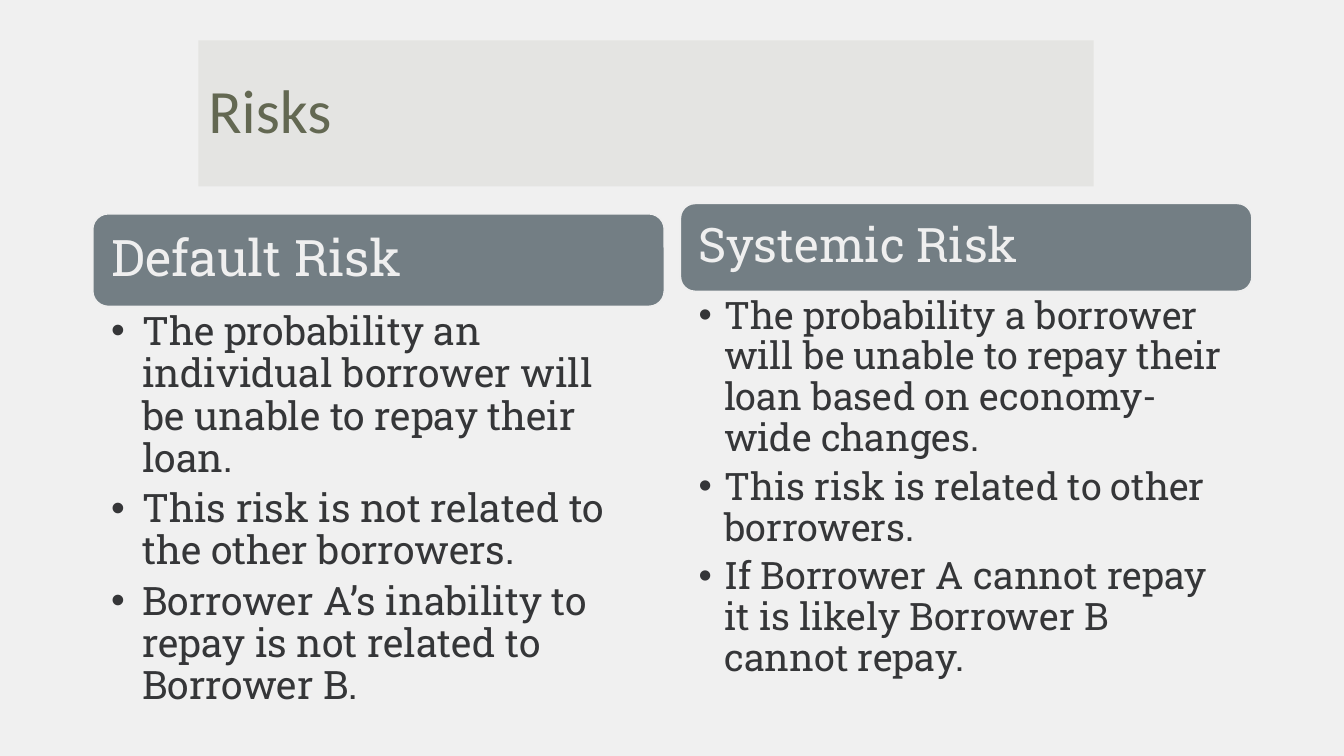
from dataclasses import dataclass
from lxml.etree import SubElement
from pptx import Presentation
from pptx.dml.color import RGBColor
from pptx.enum.shapes import MSO_SHAPE
from pptx.enum.text import MSO_ANCHOR, MSO_AUTO_SIZE, PP_ALIGN
from pptx.oxml.ns import qn
from pptx.util import Cm, Pt

TITLE = "Risks"
RISKS = [
    {
        "head": "Default Risk",
        "points": [
            "The probability an individual borrower will be unable to repay their loan.",
            "This risk is not related to the other borrowers.",
            "Borrower A’s inability to repay is not related to Borrower B.",
        ],
        "top": 5.39, "bar": 2.33, "body": 9.12,
        "sizes": (36, 28), "pad": 0.48, "right": 0.71, "hang": 0.79,
    },
    {
        "head": "Systemic Risk",
        "points": [
            "The probability a borrower will be unable to repay their loan based on economy-wide changes.",
            "This risk is related to other borrowers.",
            "If Borrower A cannot repay it is likely Borrower B cannot repay.",
        ],
        "top": 5.13, "bar": 2.21, "body": 9.78,
        "sizes": (34, 27), "pad": 0.45, "right": 0.66, "hang": 0.64,
    },
]


@dataclass
class Theme:
    back: str = "F0F0F0"
    band: str = "E4E4E2"
    olive: str = "636852"
    slate: str = "737E84"
    pale: str = "EFEFEF"
    ink: str = "353638"
    sans: str = "Calibri"
    slab: str = "Roboto Slab"
    title: int = 44


LOOK = Theme()
LEFT, WIDE, STEP = 2.34, 14.4, 14.81


def paint(fill, tone):
    fill.solid()
    fill.fore_color.rgb = RGBColor.from_string(tone)


def style(para, face, size, tone):
    para.alignment = PP_ALIGN.LEFT
    para.line_spacing = 0.9
    para.space_before = Pt(0)
    for run in para.runs:
        run.font.name = face
        run.font.size = Pt(size)
        run.font.color.rgb = RGBColor.from_string(tone)


def frame(shape, left, top, right, anchor):
    text = shape.text_frame
    text.word_wrap = True
    text.auto_size = MSO_AUTO_SIZE.NONE
    text.vertical_anchor = anchor
    text.margin_left, text.margin_right = Cm(left), Cm(right)
    text.margin_top = text.margin_bottom = Cm(top)
    return text


def bullet(para, hang):
    props = para._p.get_or_add_pPr()
    props.set("marL", str(Cm(hang)))
    props.set("indent", str(-Cm(hang)))
    SubElement(props, qn("a:buFont")).set("typeface", "Arial")
    SubElement(props, qn("a:buChar")).set("char", "•")


def add_title(slide):
    title = slide.shapes.title
    title.left, title.top, title.width, title.height = Cm(5), Cm(1.02), Cm(22.56), Cm(3.68)
    paint(title.fill, LOOK.band)
    text = frame(title, 0.25, 0.13, 0.25, MSO_ANCHOR.MIDDLE)
    text.text = TITLE
    style(text.paragraphs[0], LOOK.sans, LOOK.title, LOOK.olive)


def add_risk(slide, risk, left):
    big, small = risk["sizes"]
    bar = slide.shapes.add_shape(MSO_SHAPE.ROUNDED_RECTANGLE, Cm(left), Cm(risk["top"]), Cm(WIDE), Cm(risk["bar"]))
    bar.shadow.inherit = False
    paint(bar.fill, LOOK.slate)
    paint(bar.line.fill, LOOK.pale)
    bar.line.width = Pt(1)
    text = frame(bar, risk["pad"] - 0.11, 0.13, risk["pad"] - 0.11, MSO_ANCHOR.MIDDLE)
    text.text = risk["head"]
    style(text.paragraphs[0], LOOK.slab, big, LOOK.pale)

    body = slide.shapes.add_textbox(Cm(left), Cm(risk["top"] + risk["bar"]), Cm(WIDE), Cm(risk["body"]))
    text = frame(body, 0.46, 0.13, risk["right"], MSO_ANCHOR.TOP)
    text.text = "\n".join(risk["points"])
    for para in text.paragraphs:
        bullet(para, risk["hang"])
        style(para, LOOK.slab, small, LOOK.ink)
        para.space_after = Pt(small * 0.2)


def main():
    deck = Presentation()
    deck.slide_width, deck.slide_height = Cm(33.87), Cm(19.05)
    slide = deck.slides.add_slide(deck.slide_layouts[5])
    paint(slide.background.fill, LOOK.back)
    add_title(slide)
    for col, risk in enumerate(RISKS):
        add_risk(slide, risk, LEFT + col * STEP)
    deck.save("out.pptx")


if __name__ == "__main__":
    main()
